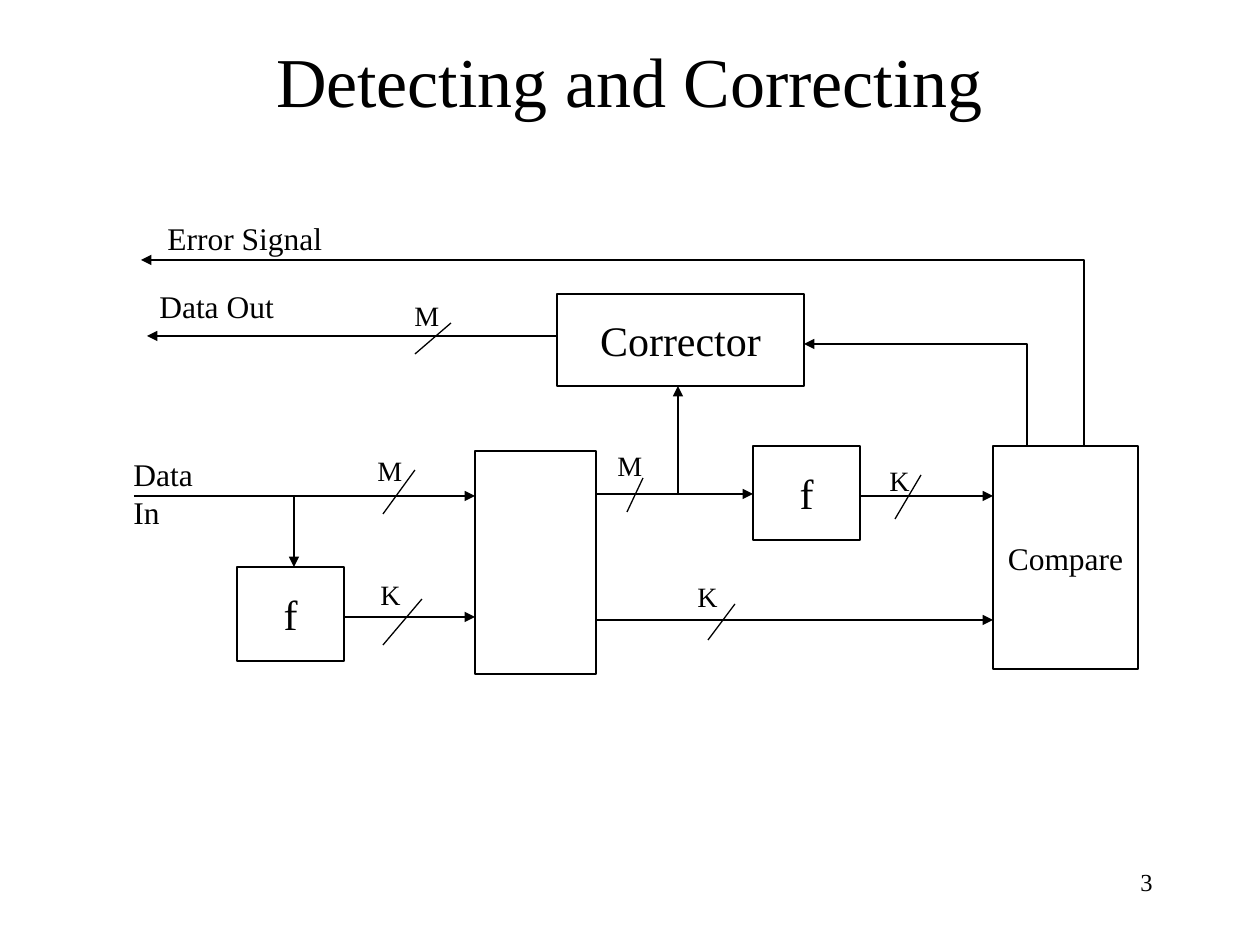
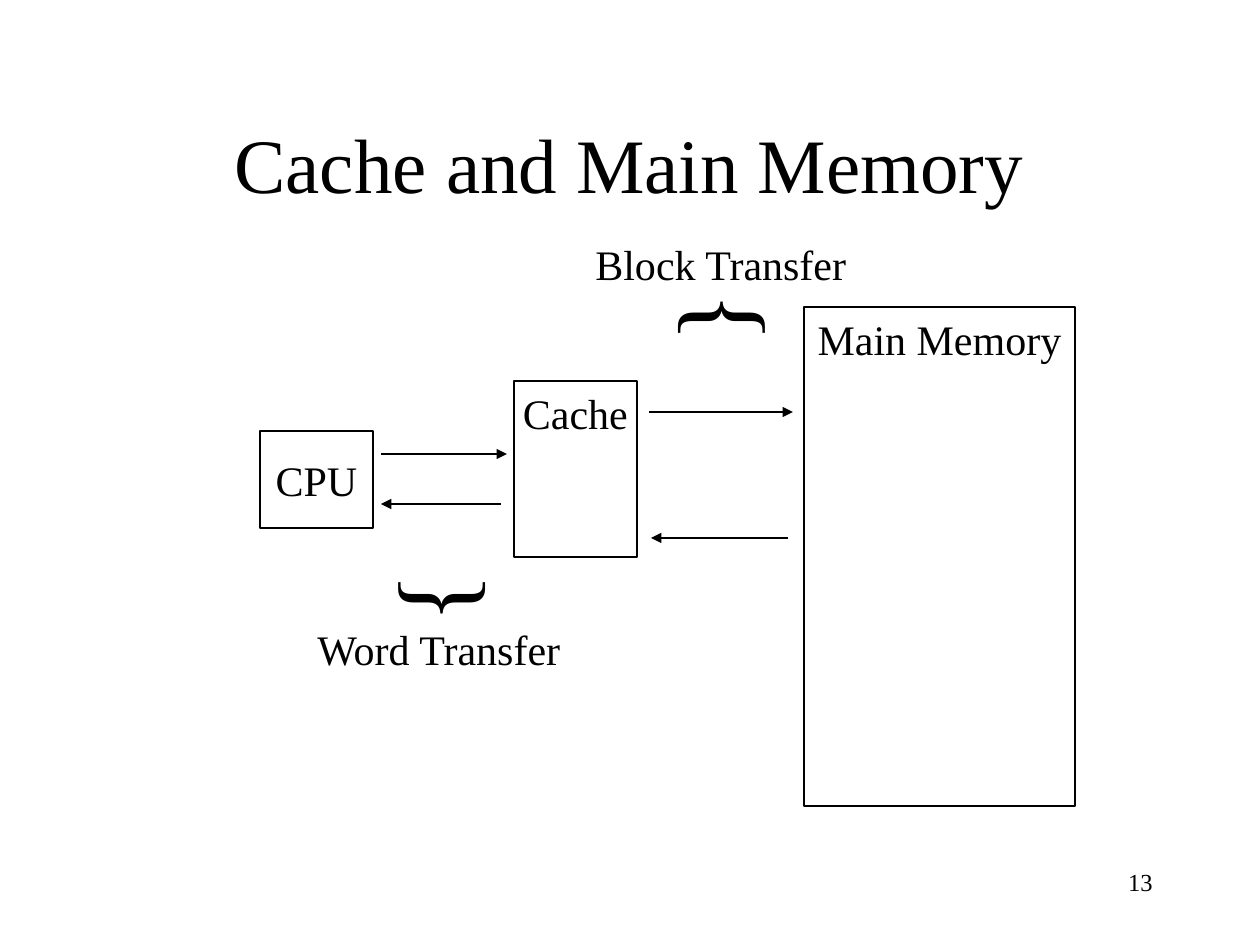
from lxml import etree
from pptx import Presentation
from pptx.dml.color import RGBColor
from pptx.enum.shapes import MSO_CONNECTOR, MSO_SHAPE
from pptx.enum.text import MSO_ANCHOR, MSO_AUTO_SIZE, PP_ALIGN
from pptx.oxml.ns import qn
from pptx.util import Inches, Pt

PX = Inches(1) / 126
FONT = "Times New Roman"
COLORS = {"ink": "000000", "paper": "FFFFFF"}
LEFT, CENTER, RIGHT = PP_ALIGN.LEFT, PP_ALIGN.CENTER, PP_ALIGN.RIGHT
TOP, MIDDLE = MSO_ANCHOR.TOP, MSO_ANCHOR.MIDDLE
STRAIGHT, RECTANGLE = MSO_CONNECTOR.STRAIGHT, MSO_SHAPE.RECTANGLE
NO_FIT, GROW = MSO_AUTO_SIZE.NONE, MSO_AUTO_SIZE.SHAPE_TO_FIT_TEXT

DETECTING_BOX = (120, 210, 1018, 465)
CACHE_BOX = (260, 230, 815, 576)


def color(name):
    return RGBColor.from_string(COLORS[name])


def emu(*lengths):
    return [round(length * PX) for length in lengths]


def write(shape, text, size, align=LEFT, anchor=TOP, wrap=False):
    frame = shape.text_frame
    frame.text = text
    frame.word_wrap = wrap
    frame.vertical_anchor = anchor
    paragraph = frame.paragraphs[0]
    paragraph.alignment = align
    paragraph.font.name = FONT
    paragraph.font.size = Pt(size)
    paragraph.font.color.rgb = color("ink")


def ink_line(shape, arrow=False):
    shape.line.color.rgb = color("ink")
    shape.line.width = Pt(0.75)
    if arrow:
        outline = shape.element.spPr.find(qn("a:ln"))
        etree.SubElement(outline, qn("a:tailEnd"), type="triangle")


class Region:
    """Draws parts of a slide at places relative to the box's corner."""

    def __init__(self, slide, box):
        self.shapes = slide.shapes
        self.left, self.top, self.width, self.height = box

    def place(self, x, y):
        return emu(self.left + x, self.top + y)

    def block(self, box, text="", size=24, anchor=MIDDLE):
        x, y, width, height = box
        rect = self.shapes.add_shape(
            RECTANGLE, *self.place(x, y), *emu(width, height))
        rect.shadow.inherit = False
        rect.fill.background()
        ink_line(rect)
        if text:
            write(rect, text, size, CENTER, anchor)

    def label(self, text, x, y, width, height, size, fit=GROW):
        label = self.shapes.add_textbox(
            *self.place(x, y), *emu(width, height))
        write(label, text, size)
        label.text_frame.auto_size = fit
        return label

    def line(self, start, end, arrow=True):
        line = self.shapes.add_connector(
            STRAIGHT, *self.place(*start), *self.place(*end))
        ink_line(line, arrow)
        etree.SubElement(line.element.spPr, qn("a:effectLst"))

    def bent_arrow(self, start, corner, end):
        builder = self.shapes.build_freeform(*self.place(*start), scale=1.0)
        builder.add_line_segments(
            [self.place(*corner), self.place(*end)], close=False)
        bend = builder.convert_to_shape()
        bend.shadow.inherit = False
        bend.fill.background()
        ink_line(bend, arrow=True)


def add_page(deck, title, title_top, title_size, number):
    """Adds a slide with its background, title and page number."""
    slide = deck.slides.add_slide(deck.slide_layouts[6])
    slide.background.fill.solid()
    slide.background.fill.fore_color.rgb = color("paper")
    heading = slide.shapes.add_textbox(*emu(94, title_top, 1071, 158))
    write(heading, title, title_size, CENTER, MIDDLE, wrap=True)
    page = slide.shapes.add_textbox(*emu(903, 861, 262, 63))
    write(page, str(number), 14, RIGHT, wrap=True)
    return slide


def draw_detecting(slide, box):
    region = Region(slide, box)
    memory_left, memory_right = 355, 476
    compare_left, compare_top = 873, 236
    corrector_left, corrector_right, corrector_bottom = 437, 684, 176
    f_width, f_height = 107, 94
    write_f_left, write_f_top, read_f_left = 117, 357, 633
    data_y, read_y = 286, 284
    write_tap, read_tap = 174, 558

    region.block((memory_left, 241, memory_right - memory_left, 223))
    region.block((write_f_left, write_f_top, f_width, f_height), "f")
    region.block((read_f_left, compare_top, f_width, f_height), "f")
    region.block((corrector_left, 84, corrector_right - corrector_left, 92),
                 "Corrector")
    region.block((compare_left, compare_top, 145, 223), "Compare", 18)

    for start_x, end_x, y in (
        (14, memory_left, data_y),
        (write_f_left + f_width, memory_left, 407),
        (memory_right, read_f_left, read_y),
        (read_f_left + f_width, compare_left, data_y),
        (memory_right, compare_left, 410),
        (corrector_left, 27, 126),
    ):
        region.line((start_x, y), (end_x, y))
    region.line((write_tap, data_y), (write_tap, write_f_top))
    region.line((read_tap, read_y), (read_tap, corrector_bottom))
    for x, y, end_x in ((907, 134, corrector_right), (964, 50, 21)):
        region.bent_arrow((x, compare_top), (x, y), (end_x, y))

    for bits, label_at, slash_top, slash_bottom in (
        ("M", (245, 237), (295, 260), (263, 304)),
        ("K", (248, 361), (302, 389), (263, 435)),
        ("M", (485, 232), (523, 268), (507, 302)),
        ("K", (565, 363), (615, 394), (588, 430)),
        ("K", (757, 247), (801, 265), (775, 309)),
        ("M", (282, 82), (331, 113), (295, 144)),
    ):
        region.line(slash_top, slash_bottom, arrow=False)
        region.label(bits, *label_at, 50 if bits == "M" else 45, 47, 16)

    for signal, x, y, width in (
        ("Data In", 1, 239, 118),
        ("Data Out", 27, 71, 140),
        ("Error Signal", 35, 3, 180),
    ):
        region.label(signal, x, y, width, 50, 18)


def draw_cache(slide, box):
    region = Region(slide, box)
    region.block((0, 201, 113, 97), "CPU")
    region.block((254, 151, 123, 176), "Cache", anchor=TOP)
    region.block((544, 77, 271, 499), "Main Memory", anchor=TOP)
    for start_x, end_x, y in (
        (121, 247, 224), (241, 121, 274), (389, 533, 182), (528, 391, 308),
    ):
        region.line((start_x, y), (end_x, y))
    for transfer, label_box, brace_at, turn in (
        ("Word Transfer", (45, 387, 273, 63), (115, 309), 270),
        ("Block Transfer", (323, 2, 278, 63), (447, 35), 90),
    ):
        brace = region.label("{", *brace_at, 82, 112, 60, NO_FIT)
        brace.rotation = turn
        region.label(transfer, *label_box, 24)


def main():
    deck = Presentation()
    deck.slide_width, deck.slide_height = Inches(10), Inches(7.5)
    detecting = add_page(deck, "Detecting and Correcting", 0, 40, 3)
    draw_detecting(detecting, DETECTING_BOX)
    cache = add_page(deck, "Cache and Main Memory", 84, 44, 13)
    draw_cache(cache, CACHE_BOX)
    deck.save("out.pptx")


if __name__ == "__main__":
    main()
